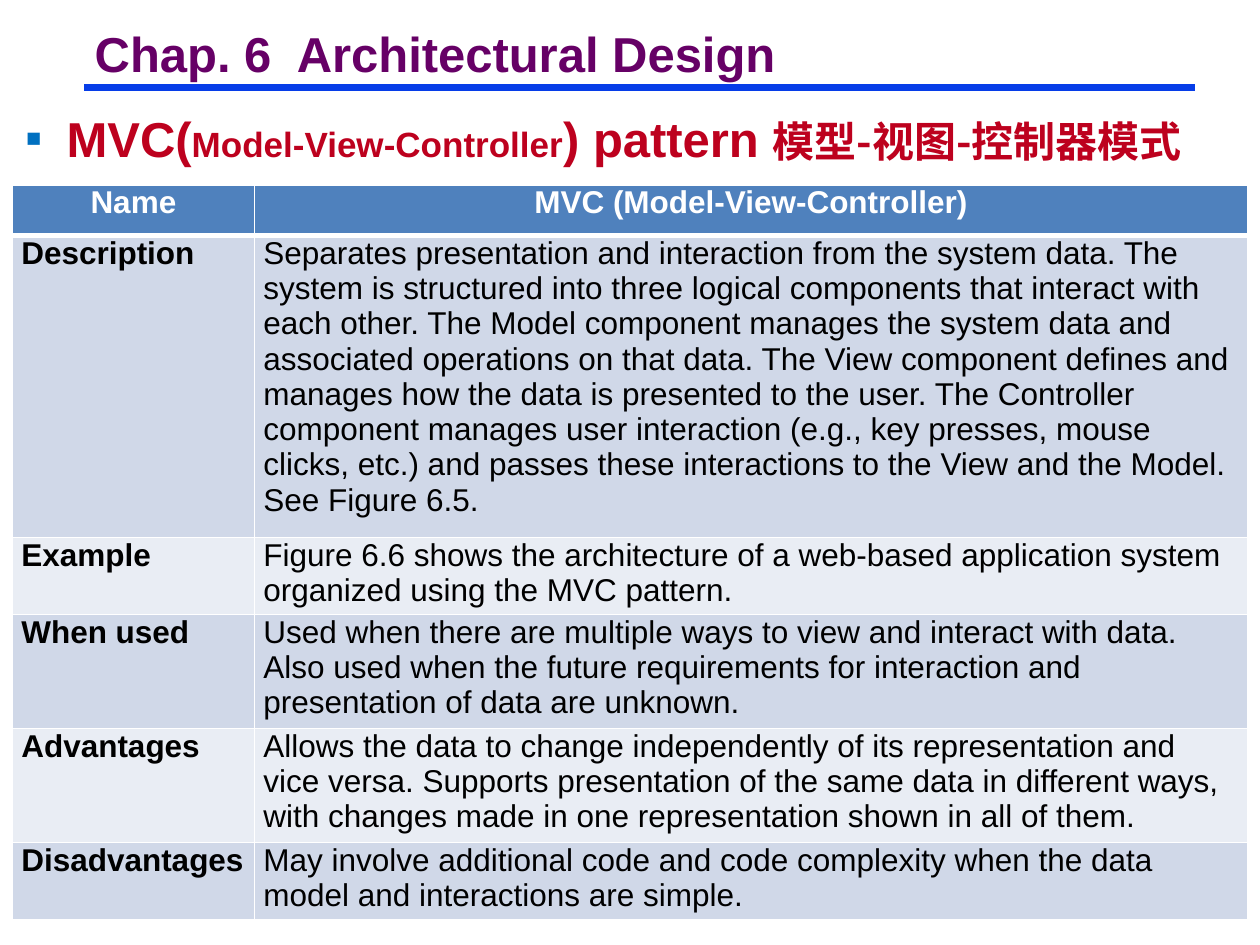
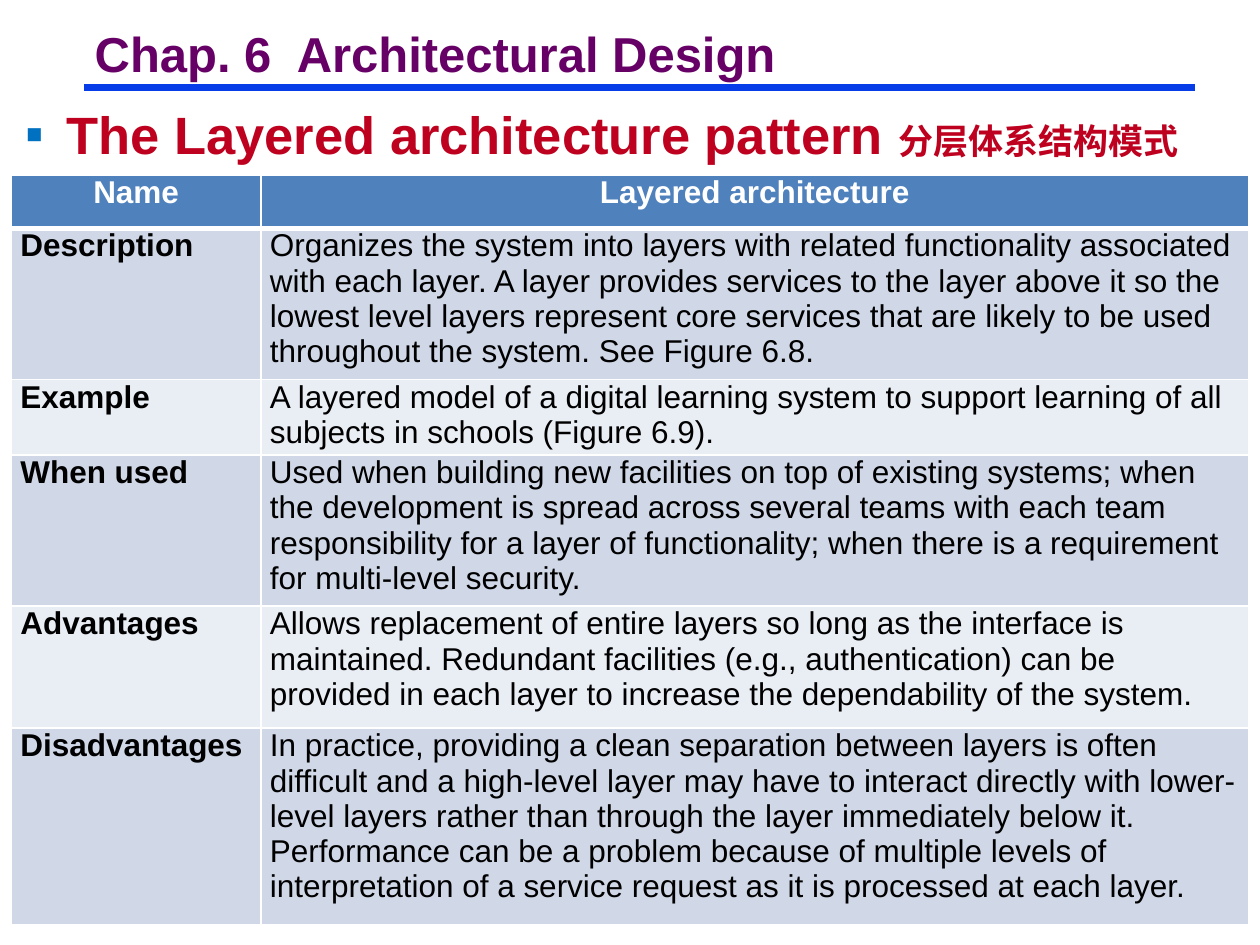
import pptx
import pptx.dml.color
import pptx.enum.shapes
import pptx.enum.text
import pptx.oxml.ns
import pptx.util
from lxml import etree

Cm = pptx.util.Cm
Pt = pptx.util.Pt
ALIGN = pptx.enum.text.PP_ALIGN
ANCHOR = pptx.enum.text.MSO_ANCHOR
AUTO_SIZE = pptx.enum.text.MSO_AUTO_SIZE

LATIN, CHINESE = "Arial", "Noto Sans CJK SC"
WHITE, BLACK = "FFFFFF", "000000"
PURPLE, RED, RULE_BLUE, BULLET_BLUE = "660066", "BD011E", "063DE8", "0070C0"
HEADER_FILL, BAND_FILLS = "4F81BD", ("D0D8E8", "E9EDF4")
CHAPTER = "Chap. 6  Architectural Design"
ROW_NAMES = ("Name", "Description", "Example", "When used", "Advantages", "Disadvantages")


def color(hex_string):
    return pptx.dml.color.RGBColor.from_string(hex_string)


def add_element(parent, tag, **attributes):
    element = etree.SubElement(parent, pptx.oxml.ns.qn(tag))
    for name, value in attributes.items():
        element.set(name, str(value))
    return element


def set_font(font, size, hex_string, bold=True, name=LATIN):
    font.name = name
    font.size = Pt(size)
    font.bold = bold
    font.color.rgb = color(hex_string)


def place(shape, left, top, width, height):
    shape.left, shape.top = Cm(left), Cm(top)
    shape.width, shape.height = Cm(width), Cm(height)


class Deck:
    def __init__(self):
        self.presentation = pptx.Presentation()
        self.presentation.slide_width = Cm(25.4)
        self.presentation.slide_height = Cm(19.05)
        self.slide = None

    def add_slide(self):
        layout = self.presentation.slide_layouts[0]
        self.slide = self.presentation.slides.add_slide(layout)
        self.add_title_rule()
        self.add_title()

    def add_title_rule(self):
        rule = self.slide.shapes.add_connector(
            pptx.enum.shapes.MSO_CONNECTOR.STRAIGHT, Cm(1.7), Cm(1.76), Cm(24.08), Cm(1.76))
        rule.line.color.rgb = color(RULE_BLUE)
        rule.line.width = Pt(3.75)
        add_element(rule._element.spPr, "a:effectLst")

    def add_title(self):
        title = self.slide.shapes.title
        place(title, 1.73, 0.56, 14.12, 1.17)
        frame = title.text_frame
        frame.word_wrap = False
        frame.auto_size = AUTO_SIZE.SHAPE_TO_FIT_TEXT
        frame.vertical_anchor = ANCHOR.TOP
        frame.margin_left = frame.margin_right = Cm(0.18)
        frame.margin_top = frame.margin_bottom = Cm(0.08)
        paragraph = frame.paragraphs[0]
        paragraph.text = CHAPTER
        paragraph.alignment = ALIGN.LEFT
        paragraph.line_spacing = 0.87
        set_font(paragraph.font, 28, PURPLE)

    def add_heading(self, top, height, english, chinese, chinese_size):
        """Bulleted heading; english is a list of (text, size) pairs."""
        heading = self.slide.placeholders[1]
        place(heading, 0.25, top, 24.94, height)
        frame = heading.text_frame
        frame.word_wrap = True
        frame.auto_size = AUTO_SIZE.NONE
        frame.vertical_anchor = ANCHOR.TOP
        paragraph = frame.paragraphs[0]
        paragraph.alignment = ALIGN.LEFT
        paragraph.space_before = Pt(0)
        properties = paragraph._p.get_or_add_pPr()
        properties.set("marL", str(Cm(0.84)))
        properties.set("indent", str(-Cm(0.84)))
        bullet_color = add_element(properties, "a:buClr")
        add_element(bullet_color, "a:srgbClr", val=BULLET_BLUE)
        add_element(properties, "a:buFont", typeface=LATIN)
        add_element(properties, "a:buChar", char="▪")
        for text, size in english:
            run = paragraph.add_run()
            run.text = text
            set_font(run.font, size, RED)
        run = paragraph.add_run()
        run.text = chinese
        set_font(run.font, chinese_size, RED, name=CHINESE)
        add_element(run.font._element, "a:ea", typeface=CHINESE)

    def add_pattern_table(self, left, top, column_widths, row_heights, details):
        frame = self.slide.shapes.add_table(
            len(details), 2, Cm(left), Cm(top), Cm(sum(column_widths)), Cm(sum(row_heights)))
        table = frame.table
        for column, width in zip(table.columns, column_widths):
            column.width = Cm(width)
        for row_index, row_texts in enumerate(zip(ROW_NAMES, details)):
            table.rows[row_index].height = Cm(row_heights[row_index])
            for column_index, text in enumerate(row_texts):
                self.fill_cell(table.cell(row_index, column_index), text, row_index, column_index)

    def fill_cell(self, cell, text, row_index, column_index):
        is_header = row_index == 0
        cell.margin_left = cell.margin_right = Cm(0.18)
        cell.margin_top = cell.margin_bottom = 0
        widths = {"L": 1, "R": 1, "T": 3 if row_index == 1 else 1, "B": 3 if is_header else 1}
        for side, width in widths.items():
            border = add_element(cell._tc.get_or_add_tcPr(), f"a:ln{side}", w=Pt(width))
            add_element(add_element(border, "a:solidFill"), "a:srgbClr", val=WHITE)
        cell.fill.solid()
        cell.fill.fore_color.rgb = color(
            HEADER_FILL if is_header else BAND_FILLS[(row_index - 1) % 2])
        paragraph = cell.text_frame.paragraphs[0]
        paragraph.text = text
        paragraph.alignment = ALIGN.CENTER if is_header else ALIGN.LEFT
        set_font(paragraph.font, 18, WHITE if is_header else BLACK,
                 bold=is_header or column_index == 0)


MVC_DETAILS = (
    "MVC (Model-View-Controller)",
    "Separates presentation and interaction from the system data. The system is structured "
    "into three logical components that interact with each other. The Model component manages "
    "the system data and associated operations on that data. The View component defines and "
    "manages how the data is presented to the user. The Controller component manages user "
    "interaction (e.g., key presses, mouse clicks, etc.) and passes these interactions to the "
    "View and the Model. See Figure 6.5.",
    "Figure 6.6 shows the architecture of a web-based application system organized using the "
    "MVC pattern.",
    "Used when there are multiple ways to view and interact with data. Also used when the "
    "future requirements for interaction and presentation of data are unknown.",
    "Allows the data to change independently of its representation and vice versa. Supports "
    "presentation of the same data in different ways, with changes made in one representation "
    "shown in all of them.",
    "May involve additional code and code complexity when the data model and interactions are "
    "simple.",
)

LAYERED_DETAILS = (
    "Layered architecture",
    "Organizes the system into layers with related functionality associated with each layer. "
    "A layer provides services to the layer above it so the lowest level layers represent core "
    "services that are likely to be used throughout the system. See Figure 6.8.",
    "A layered model of a digital learning system to support learning of all subjects in "
    "schools (Figure 6.9).",
    "Used when building new facilities on top of existing systems; when the development is "
    "spread across several teams with each team responsibility for a layer of functionality; "
    "when there is a requirement for multi-level security.",
    "Allows replacement of entire layers so long as the interface is maintained. Redundant "
    "facilities (e.g., authentication) can be provided in each layer to increase the "
    "dependability of the system.",
    "In practice, providing a clean separation between layers is often difficult and a "
    "high-level layer may have to interact directly with lower-level layers rather than through "
    "the layer immediately below it. Performance can be a problem because of multiple levels of "
    "interpretation of a service request as it is processed at each layer.",
)


def main():
    deck = Deck()

    deck.add_slide()
    deck.add_heading(2.06, 1.8, [("MVC(", 28), ("Model-View-Controller", 20), (") pattern ", 28)],
                     "模型-视图-控制器模式", 24)
    deck.add_pattern_table(0.25, 3.73, (4.88, 20.02), (1.02, 6.09, 1.55, 2.3, 2.3, 1.55),
                           MVC_DETAILS)

    deck.add_slide()
    deck.add_heading(1.93, 1.93, [("The Layered architecture pattern ", 30)],
                     "分层体系结构模式", 20)
    deck.add_pattern_table(0.23, 3.53, (5.03, 19.91), (1.07, 3.05, 1.52, 3.05, 2.46, 3.96),
                           LAYERED_DETAILS)

    deck.presentation.save("out.pptx")


if __name__ == "__main__":
    main()
